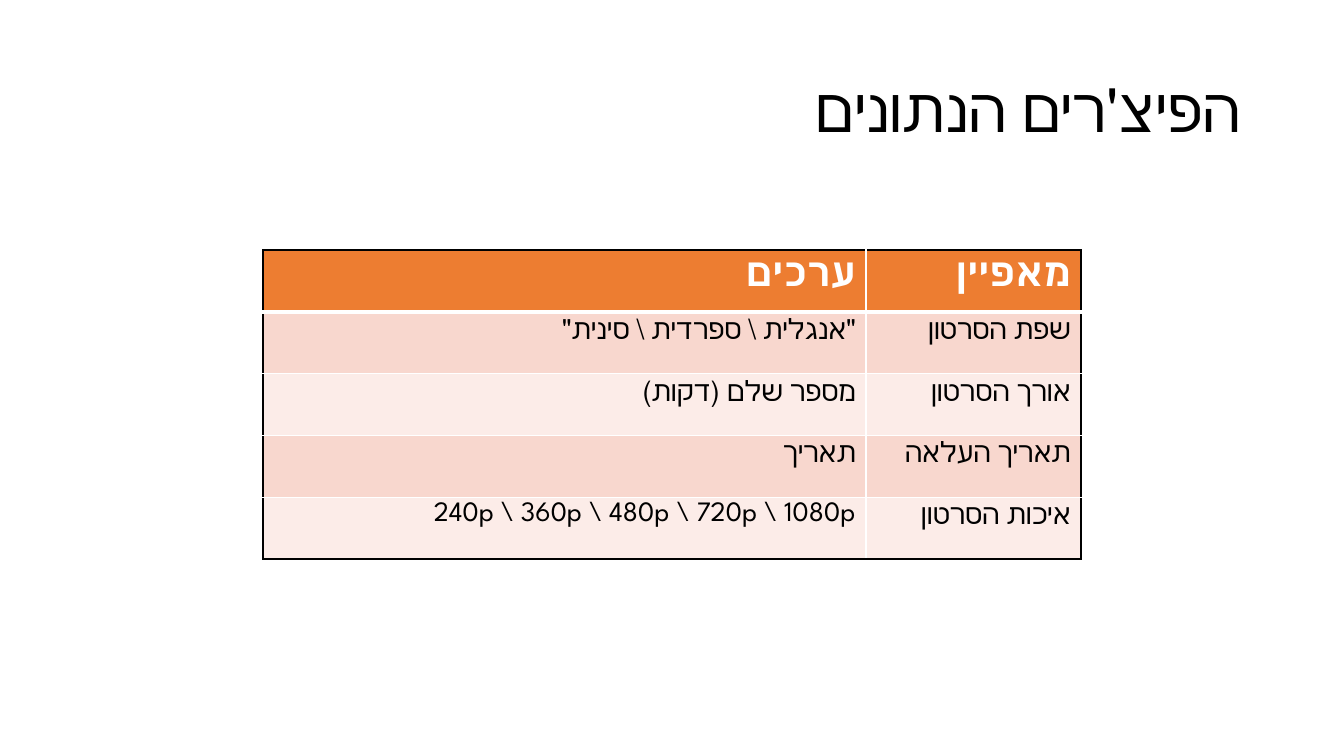
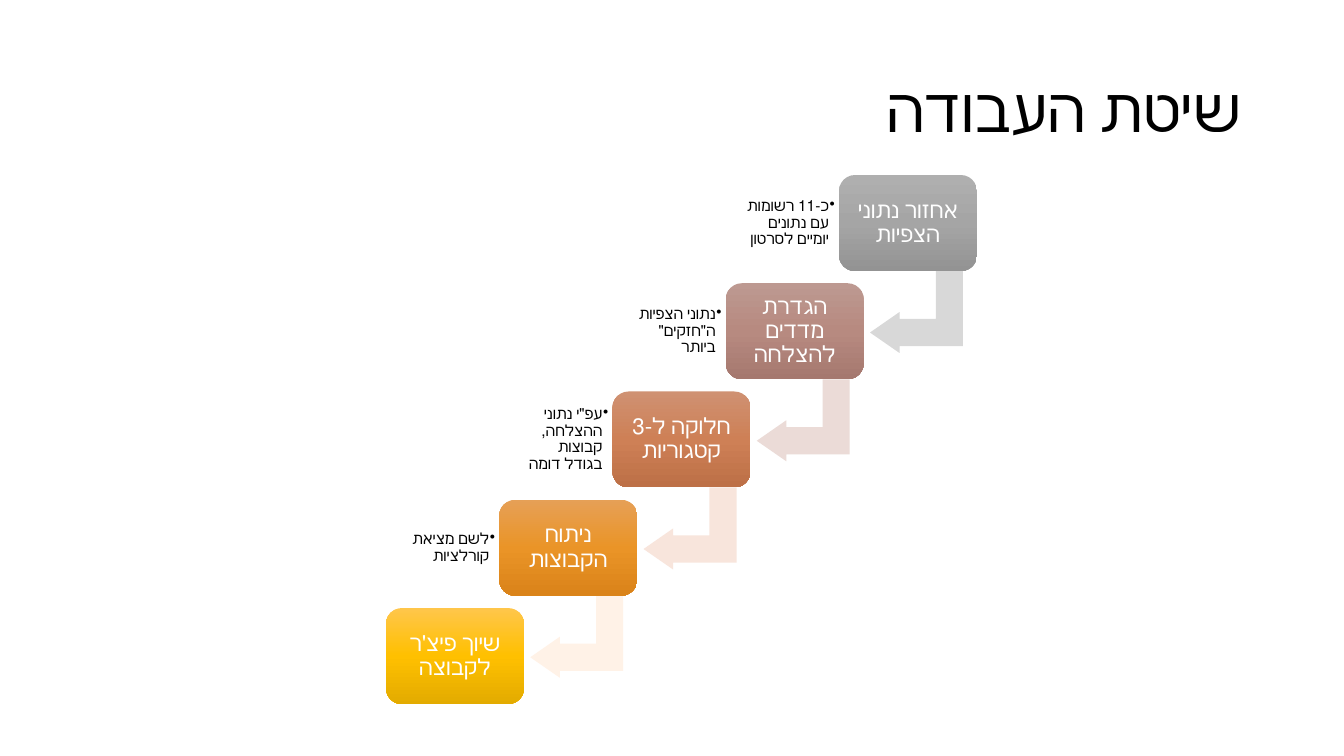
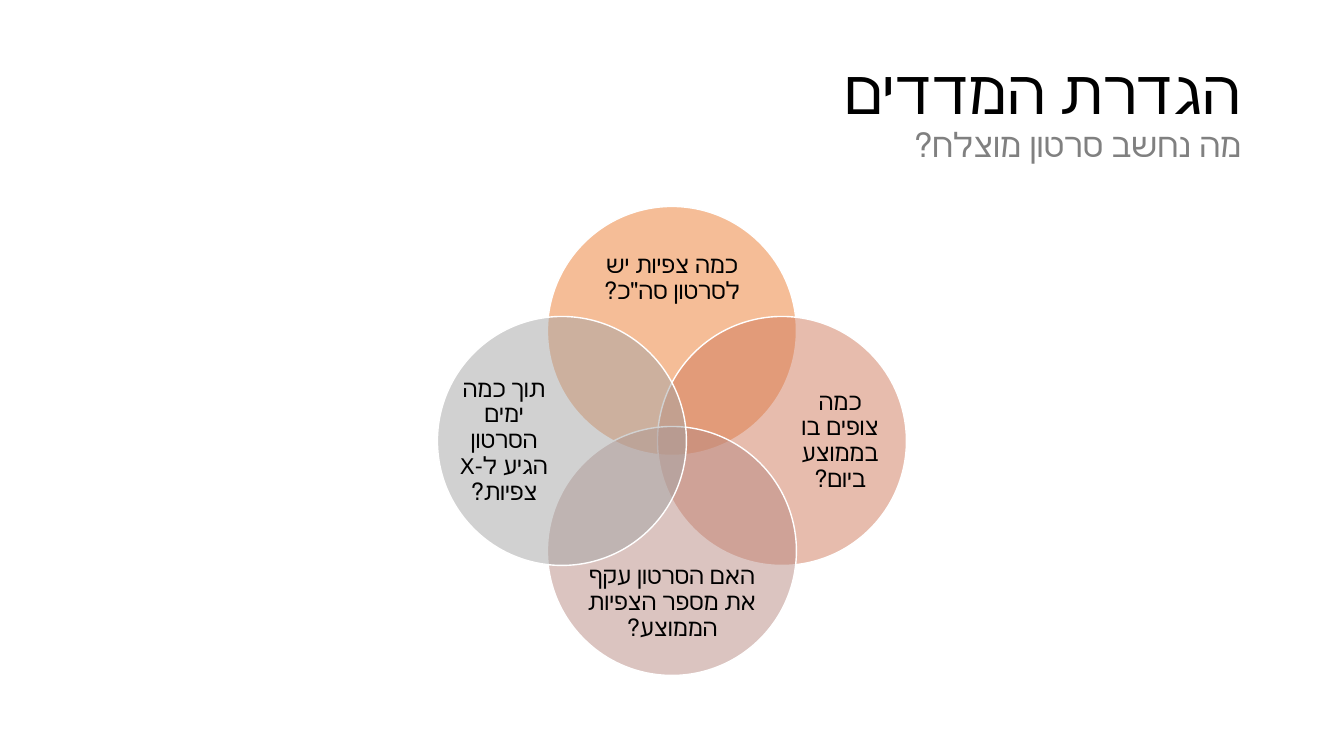
from copy import deepcopy

from lxml.etree import SubElement
from pptx import Presentation
from pptx.dml.color import RGBColor
from pptx.enum.shapes import MSO_SHAPE as Shape
from pptx.enum.text import MSO_ANCHOR as Anchor, PP_ALIGN as Align
from pptx.oxml.ns import qn
from pptx.util import Pt

# Shared scale, font and colours
PX = 914400 / 100.8
SLIDE_WIDTH, SLIDE_HEIGHT = 1344, 756
FONT = "League Spartan"
BLACK = RGBColor(0x00, 0x00, 0x00)
WHITE = RGBColor(0xFF, 0xFF, 0xFF)
GRAY = RGBColor(0x80, 0x80, 0x80)
ORANGE = RGBColor(0xED, 0x7D, 0x31)
TERRACOTTA = RGBColor(0xD1, 0x7B, 0x5C)
ROSE = RGBColor(0xB9, 0x8A, 0x82)
SILVER = RGBColor(0xA5, 0xA5, 0xA5)
BAND_DARK = RGBColor(0xF8, 0xD7, 0xCE)
BAND_LIGHT = RGBColor(0xFC, 0xEC, 0xE8)

FEATURES = [
    ("ערכים", "מאפיין"),
    ('"אנגלית \\ ספרדית \\ סינית"', "שפת הסרטון"),
    ("מספר שלם (דקות)", "אורך הסרטון"),
    ("תאריך", "תאריך העלאה"),
    ("240p \\ 360p \\ 480p \\ 720p \\ 1080p", "איכות הסרטון"),
]

# Step title, detail, gradient from top to bottom, arrow colour
STEPS = [
    ("אחזור נתוני הצפיות", "כ-11 רשומות עם נתונים יומיים לסרטון",
     ("AFAFAF", "A5A5A5", "939393"), "D8D8D8"),
    ("הגדרת מדדים להצלחה", 'נתוני הצפיות ה"חזקים" ביותר',
     ("BD9991", "B78A80", "A5786F"), "EBDBD7"),
    ("חלוקה ל-3 קטגוריות", 'עפ"י נתוני ההצלחה, קבוצות בגודל דומה',
     ("CF9172", "CE8056", "BD7047"), "F8E5DC"),
    ("ניתוח הקבוצות", "לשם מציאת קורלציות",
     ("E6A056", "EA9427", "DA8319"), "FFF2E7"),
    ("שיוך פיצ'ר לקבוצה", None, ("FFC64B", "FFC000", "E3AB00"), None),
]

# Question, colour, direction from the centre of the diagram
MEASURES = [
    ('כמה צפיות יש לסרטון סה"כ?', ORANGE, (0, -1)),
    ("כמה צופים בו בממוצע ביום?", TERRACOTTA, (1, 0)),
    ("האם הסרטון עקף את מספר הצפיות הממוצע?", ROSE, (0, 1)),
    ("תוך כמה ימים הסרטון הגיע ל-X צפיות?", SILVER, (-1, 0)),
]


def px(*lengths):
    return [round(length * PX) for length in lengths]


def style_run(run, size, color, bold=False):
    values = {"name": FONT, "size": Pt(size), "bold": bold}
    for name, value in values.items():
        setattr(run.font, name, value)
    run.font.color.rgb = color


def write(frame, text, size, color, align=Align.RIGHT, bold=False, spacing=0.9):
    paragraph = frame.paragraphs[0]
    paragraph.alignment = align
    paragraph.line_spacing = spacing
    paragraph._p.get_or_add_pPr().set("rtl", "1")
    run = paragraph.add_run()
    run.text = text
    style_run(run, size, color, bold)
    return paragraph


def set_frame(frame, inset=None):
    frame.word_wrap = True
    frame.vertical_anchor = Anchor.MIDDLE
    if inset is not None:
        for side in ("left", "top", "right", "bottom"):
            setattr(frame, f"margin_{side}", px(inset)[0])
    return frame


def add_text(slide, box, text, size, color, align=Align.RIGHT, inset=None):
    frame = set_frame(slide.shapes.add_textbox(*px(*box)).text_frame, inset)
    return write(frame, text, size, color, align)


def add_plain_shape(slide, kind, box, color=None):
    shape = slide.shapes.add_shape(kind, *px(*box))
    shape.shadow.inherit = False
    shape.line.fill.background()
    if color is not None:
        shape.fill.solid()
        shape.fill.fore_color.rgb = color
    return shape


def add_title(slide, text, subtitle=None):
    paragraph = add_text(slide, (92, 40, 1159, 146), text, 44, BLACK)
    if subtitle:
        paragraph.add_line_break()
        run = paragraph.add_run()
        run.text = subtitle
        style_run(run, 24, GRAY)


def set_gradient(shape, colors):
    shape.fill.gradient()
    shape.fill.gradient_angle = 270
    stops = shape._element.spPr.find(qn("a:gradFill")).find(qn("a:gsLst"))
    stops.insert(1, deepcopy(stops[0]))
    for stop, position, color in zip(shape.fill.gradient_stops, (0, 0.5, 1), colors):
        stop.position = position
        stop.color.rgb = RGBColor.from_string(color)


def set_bullet(paragraph):
    properties = paragraph._p.get_or_add_pPr()
    indent = px(6)[0]
    properties.set("marL", str(indent))
    properties.set("indent", str(-indent))
    SubElement(properties, qn("a:buChar"), char="•")


def set_border(cell, side, color, width):
    properties = cell._tc.get_or_add_tcPr()
    line = SubElement(properties, qn(f"a:{side}"), w=str(Pt(width)))
    fill = SubElement(line, qn("a:solidFill"))
    SubElement(fill, qn("a:srgbClr"), val=str(color))


def add_feature_table(slide):
    row_count, column_count = len(FEATURES), 2
    widths, height = (603, 215), 309
    box = px(263, 250, sum(widths), height)
    table = slide.shapes.add_table(row_count, column_count, *box).table
    for column, width in zip(table.columns, widths):
        column.width = px(width)[0]
    for row, texts in enumerate(FEATURES):
        table.rows[row].height = px(height / row_count)[0]
        header = row == 0
        for column, text in enumerate(texts):
            cell = table.cell(row, column)
            write(cell.text_frame, text, 28 if header else 20,
                  WHITE if header else BLACK, bold=header, spacing=1.0)
            # Black outside, white inside, thick below the header
            outer = {"lnL": column == 0, "lnR": column == column_count - 1,
                     "lnT": header, "lnB": row == row_count - 1}
            for side, is_outer in outer.items():
                thick = (row, side) in ((0, "lnB"), (1, "lnT"))
                set_border(cell, side, BLACK if is_outer else WHITE, 3 if thick else 1)
            cell.fill.solid()
            cell.fill.fore_color.rgb = (
                ORANGE if header else BAND_DARK if row % 2 else BAND_LIGHT)


def add_step(slide, left, top, step):
    title, detail, colors, arrow_color = step
    width, height = 138, 96
    if arrow_color:
        arrow = add_plain_shape(slide, Shape.BENT_ARROW, (left + 31, top + height, 93, 82),
                                RGBColor.from_string(arrow_color))
        arrow.rotation = 180
        for index, value in enumerate((0.33, 0.25, 0.36, 0)):
            arrow.adjustments[index] = value
    card = add_plain_shape(slide, Shape.ROUNDED_RECTANGLE, (left, top, width, height))
    set_gradient(card, colors)
    write(set_frame(card.text_frame, 12), title, 16, WHITE, Align.CENTER)
    if detail:
        box = (left - 98, top + 9, 100, 78)
        set_bullet(add_text(slide, box, detail, 11, BLACK, inset=6))


def add_measure(slide, text, color, direction):
    center_x, center_y, diameter = 672, 441, 249
    circle_shift, text_shift = 110, 162
    across, down = direction
    circle = add_plain_shape(
        slide, Shape.OVAL,
        (center_x + across * circle_shift - diameter / 2,
         center_y + down * circle_shift - diameter / 2, diameter, diameter), color)
    fill_color = circle._element.spPr.find(qn("a:solidFill"))[0]
    SubElement(fill_color, qn("a:alpha"), val="50000")
    circle.line.color.rgb = WHITE
    circle.line.width = Pt(1)
    # Side circles hold narrow text, the others wide text
    width, height = (96, 192) if across else (192, 80)
    shift_x = across * (text_shift + 6)
    box = (center_x + shift_x - width / 2,
           center_y + down * text_shift - height / 2, width, height)
    add_text(slide, box, text, 17, BLACK, Align.CENTER, inset=0)


def main():
    presentation = Presentation()
    presentation.slide_width, presentation.slide_height = px(SLIDE_WIDTH, SLIDE_HEIGHT)
    blank = presentation.slide_layouts[6]

    # Given features
    slide = presentation.slides.add_slide(blank)
    add_title(slide, "הפיצ'רים הנתונים")
    add_feature_table(slide)

    # Working method: the steps descend evenly to the left
    slide = presentation.slides.add_slide(blank)
    add_title(slide, "שיטת העבודה")
    run_length, drop = 453, 433
    for index, step in enumerate(STEPS):
        share = index / (len(STEPS) - 1)
        add_step(slide, 839 - run_length * share, 175 + drop * share, step)

    # Measures of success
    slide = presentation.slides.add_slide(blank)
    add_title(slide, "הגדרת המדדים", "מה נחשב סרטון מוצלח?")
    for measure in MEASURES:
        add_measure(slide, *measure)

    presentation.save("out.pptx")


if __name__ == "__main__":
    main()
